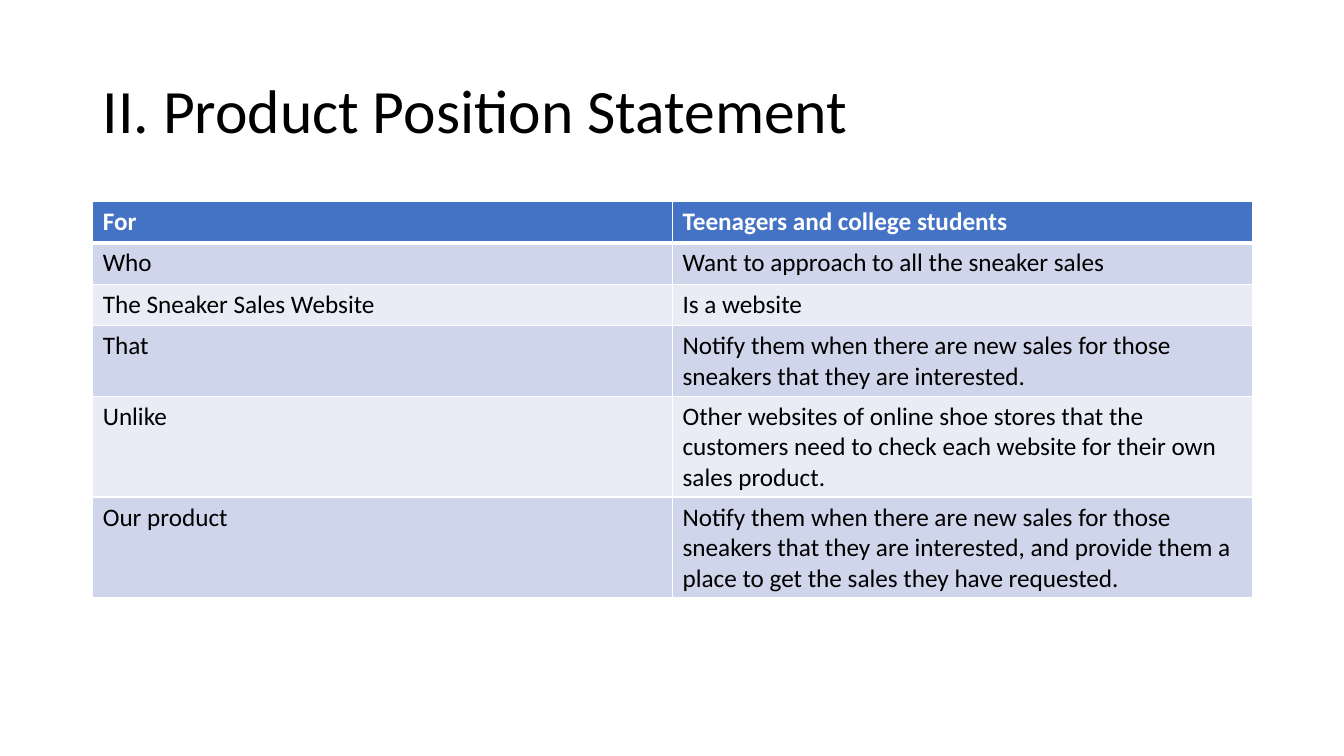
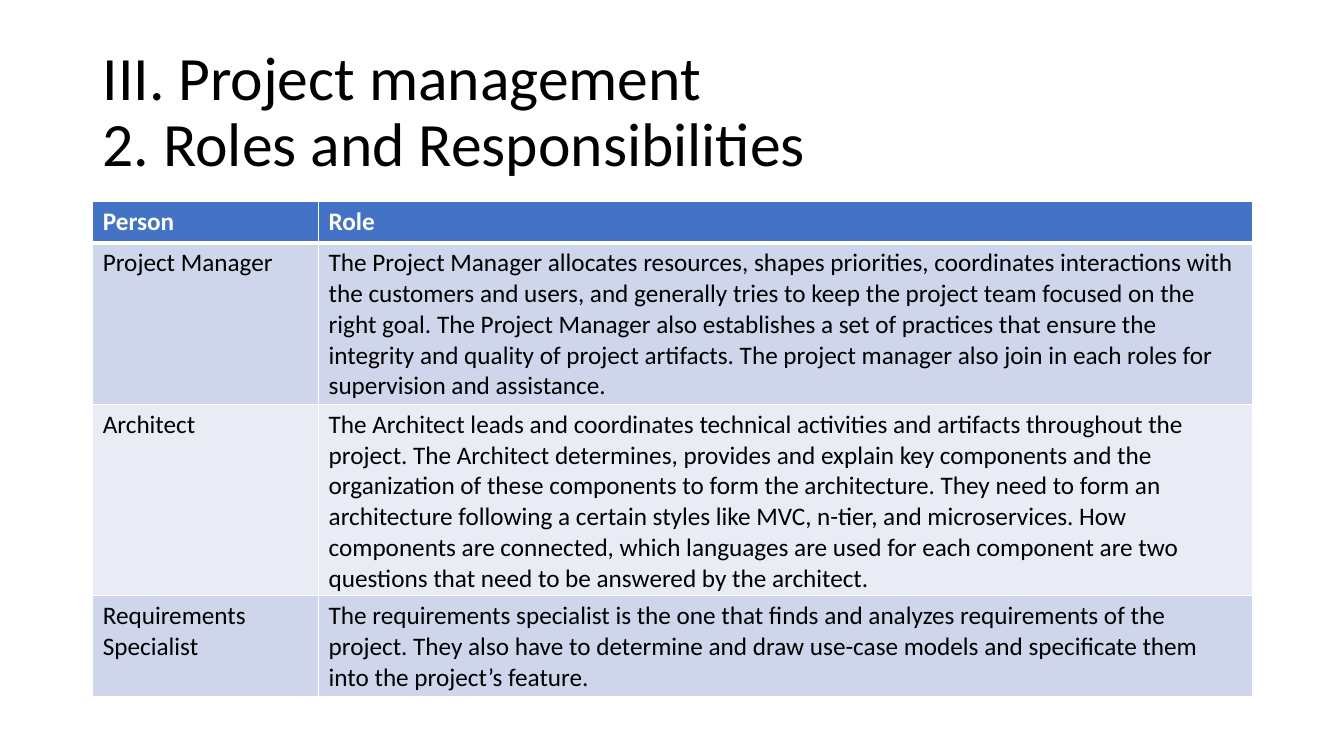
from dataclasses import dataclass

from lxml import etree
from pptx import Presentation
from pptx.dml.color import RGBColor
from pptx.enum.text import MSO_ANCHOR
from pptx.oxml.ns import qn
from pptx.util import Inches, Pt

MIDDLE = MSO_ANCHOR.MIDDLE
BLANK = 6


@dataclass(frozen=True)
class Theme:
    font: str = "Calibri"
    title_size: int = 44
    cell_size: int = 18
    text: str = "000000"
    header_text: str = "FFFFFF"
    header_fill: str = "4472C4"
    bands: tuple = ("CFD5EA", "E9EBF5")
    border: str = "FFFFFF"
    border_width: int = 1
    header_rule: int = 3
    line_spacing: float = 0.9
    row_height: float = 0.41


THEME = Theme()

# Boxes: left, top, width, height in inches
TITLE_BOX = (0.92, 0.4, 11.5, 1.45)
TABLE_BOX = (0.92, 2, 11.5)

# Each body cell is a list of paragraphs or a single string
SLIDES = [
    {
        "title": ["II. Product Position Statement"],
        "first_column": 5.75,
        "rows": [
            ("For", "Teenagers and college students"),
            ("Who", "Want to approach to all the sneaker sales"),
            ("The Sneaker Sales Website", "Is a website"),
            ("That", "Notify them when there are new sales for those sneakers "
             "that they are interested."),
            ("Unlike", "Other websites of online shoe stores that the customers "
             "need to check each website for their own sales product."),
            ("Our product", "Notify them when there are new sales for those "
             "sneakers that they are interested, and provide them a place to "
             "get the sales they have requested."),
        ],
    },
    {
        "title": ["III. Project management", "2. Roles and Responsibilities"],
        "first_column": 2.24,
        "rows": [
            ("Person", "Role"),
            ("Project Manager", "The Project Manager allocates resources, shapes "
             "priorities, coordinates interactions with the customers and users, "
             "and generally tries to keep the project team focused on the right "
             "goal. The Project Manager also establishes a set of practices that "
             "ensure the integrity and quality of project artifacts. The project "
             "manager also join in each roles for supervision and assistance."),
            ("Architect", [
                "The Architect leads and coordinates technical activities and "
                "artifacts throughout the project. The Architect determines, "
                "provides and explain key components and the organization of "
                "these components to form the architecture. They need to form an",
                "architecture following a certain styles like MVC, n-tier, and "
                "microservices. How components are connected, which languages are "
                "used for each component are two questions that need to be "
                "answered by the architect."]),
            ("Requirements Specialist", "The requirements specialist is the one "
             "that finds and analyzes requirements of the project. They also have "
             "to determine and draw use-case models and specificate them into the "
             "project’s feature."),
        ],
    },
]


def add_run(p, text, size, color, bold=False):
    r = p.add_run()
    r.text = text
    for name, value in {"name": THEME.font, "size": Pt(size), "bold": bold}.items():
        setattr(r.font, name, value)
    r.font.color.rgb = RGBColor.from_string(color)


def set_borders(cell, widths):
    """Draw the cell's sides; widths maps L, R, T, B to points."""
    tc_pr = cell._tc.get_or_add_tcPr()
    for i, (side, width) in enumerate(widths.items()):
        ln = etree.Element(qn(f"a:ln{side}"), w=str(Pt(width)))
        fill = etree.SubElement(ln, qn("a:solidFill"))
        etree.SubElement(fill, qn("a:srgbClr"), val=THEME.border)
        tc_pr.insert(i, ln)


def add_title(s, box, lines):
    sp = s.shapes.add_textbox(*map(Inches, box))
    tf = sp.text_frame
    for name, value in {"word_wrap": True, "vertical_anchor": MIDDLE}.items():
        setattr(tf, name, value)
    p = tf.paragraphs[0]
    p.line_spacing = THEME.line_spacing
    for i, line in enumerate(lines):
        if i:
            p.add_line_break()
        add_run(p, line, THEME.title_size, THEME.text)


def fill_cell(cell, content, row):
    header = row == 0
    color = THEME.header_text if header else THEME.text
    fill = THEME.header_fill if header else THEME.bands[(row - 1) % 2]

    # Text
    tf = cell.text_frame
    paragraphs = [content] if isinstance(content, str) else content
    for i, text in enumerate(paragraphs):
        p = tf.add_paragraph() if i else tf.paragraphs[0]
        add_run(p, text, THEME.cell_size, color, header)

    # Fill and borders, with a heavier rule under the header
    cell.fill.solid()
    cell.fill.fore_color.rgb = RGBColor.from_string(fill)
    widths = dict.fromkeys("LRTB", THEME.border_width)
    if row < 2:
        widths["B" if header else "T"] = THEME.header_rule
    set_borders(cell, widths)


def add_banded_table(s, box, first_column, rows):
    left, top, width = box
    height = THEME.row_height * len(rows)
    table = s.shapes.add_table(len(rows), 2, *map(Inches, (left, top, width, height))).table
    for column, size in zip(table.columns, (first_column, width - first_column)):
        column.width = Inches(size)
    for i, row in enumerate(rows):
        # Rows grow from this minimum to fit their text
        table.rows[i].height = Inches(THEME.row_height)
        for j, content in enumerate(row):
            fill_cell(table.cell(i, j), content, i)


def add_table_slide(prs, title, first_column, rows):
    s = prs.slides.add_slide(prs.slide_layouts[BLANK])
    add_title(s, TITLE_BOX, title)
    add_banded_table(s, TABLE_BOX, first_column, rows)


def main():
    prs = Presentation()
    prs.slide_width, prs.slide_height = Inches(13.33), Inches(7.5)
    for slide in SLIDES:
        add_table_slide(prs, **slide)
    prs.save("out.pptx")


if __name__ == "__main__":
    main()
